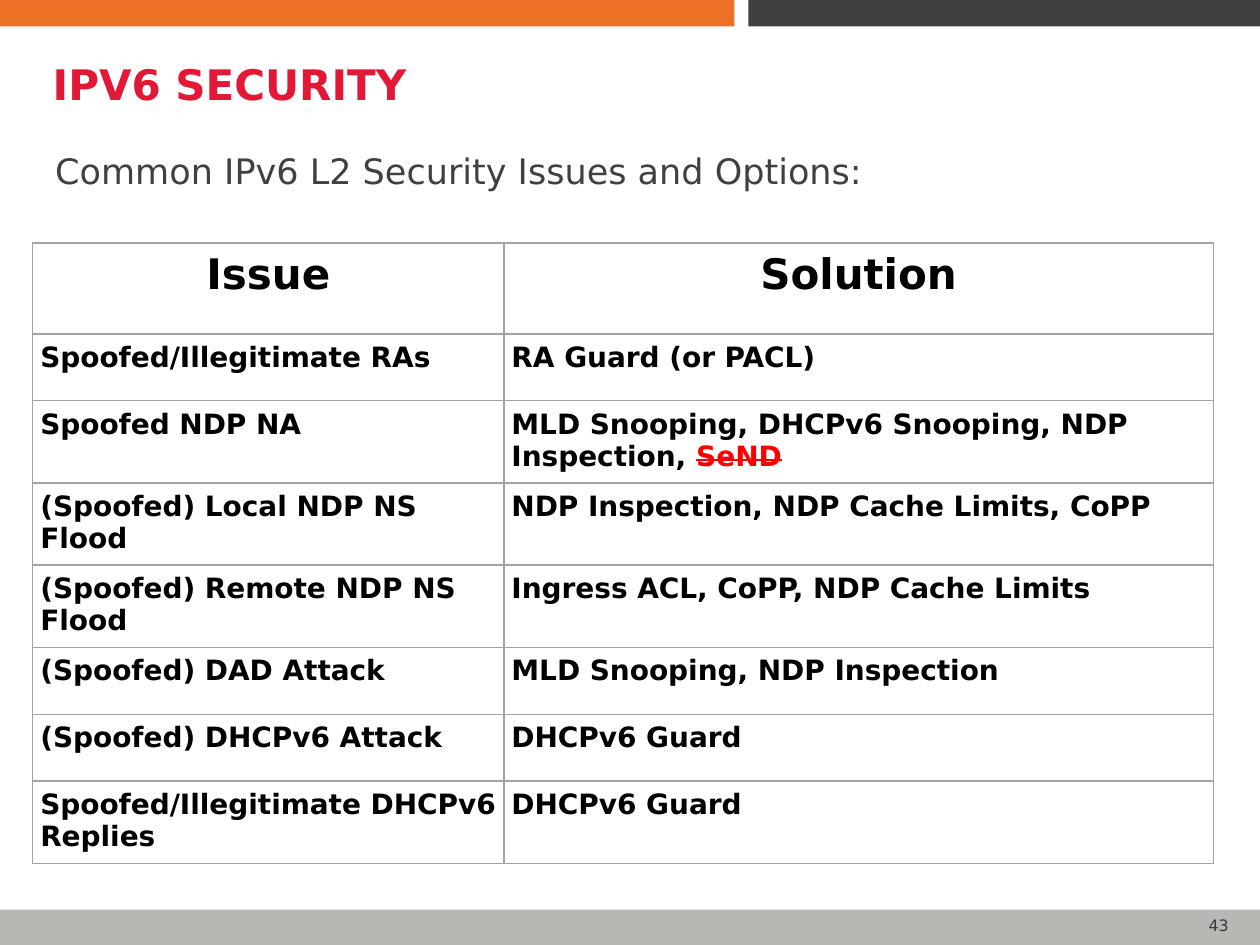
from dataclasses import dataclass

from lxml import etree
from pptx import Presentation
from pptx import util as u
from pptx.dml.color import RGBColor
from pptx.enum import shapes, text
from pptx.oxml import ns


@dataclass(frozen=True)
class Theme:
    face: str = "DejaVu Sans"
    orange: str = "EA7125"
    dark: str = "404040"
    gray: str = "B7B7B3"
    grid: str = "A3A3A3"
    brand: str = "E31837"
    ink: str = "000000"
    alert: str = "FF0000"
    page: str = "363B3E"
    head: int = 24
    lead: int = 20
    cell: int = 16
    note: int = 9


class Deck:
    def __init__(self, theme):
        self.theme = theme
        self.prs = Presentation()
        self.prs.slide_width = u.Inches(10)
        self.prs.slide_height = u.Inches(7.5)
        self.slide = self.prs.slides.add_slide(self.prs.slide_layouts[6])

    def run(self, para, words, size, color, bold=False, strike=False):
        run = para.add_run()
        run.text = words
        font = run.font
        font.name, font.size, font.bold = self.theme.face, u.Pt(size), bold
        font.color.rgb = RGBColor.from_string(color)
        if strike:
            run._r.get_or_add_rPr().set("strike", "sngStrike")

    def bar(self, box, color):
        bar = self.slide.shapes.add_shape(
            shapes.MSO_SHAPE.RECTANGLE, *map(u.Inches, box))
        bar.shadow.inherit = False
        bar.fill.solid()
        bar.fill.fore_color.rgb = RGBColor.from_string(color)
        bar.line.fill.background()

    def label(self, box, words, size, color, bold=False,
              align=text.PP_ALIGN.LEFT, anchor=text.MSO_ANCHOR.TOP):
        frame = self.slide.shapes.add_textbox(*map(u.Inches, box)).text_frame
        frame.word_wrap = True
        frame.vertical_anchor = anchor
        para = frame.paragraphs[0]
        para.alignment = align
        self.run(para, words, size, color, bold)

    def edge(self, cell):
        props = cell._tc.get_or_add_tcPr()
        for side in ("lnL", "lnR", "lnT", "lnB"):
            line = etree.SubElement(props, ns.qn("a:" + side), w=str(u.Pt(1)))
            fill = etree.SubElement(line, ns.qn("a:solidFill"))
            etree.SubElement(fill, ns.qn("a:srgbClr"), val=self.theme.grid)

    def table(self, box, cols, tall, rows):
        grid = self.slide.shapes.add_table(
            len(rows), len(cols), *map(u.Inches, box)).table
        grid.horz_banding = False
        for col, width in zip(grid.columns, cols):
            col.width = u.Inches(width)
        for r, row in enumerate(rows):
            first = r == 0
            grid.rows[r].height = u.Inches(tall[0] if first else tall[1])
            for c, parts in enumerate(row):
                cell = grid.cell(r, c)
                self.edge(cell)
                cell.fill.background()
                cell.margin_left = cell.margin_right = u.Inches(0.06)
                cell.margin_top = cell.margin_bottom = u.Inches(0.06)
                para = cell.text_frame.paragraphs[0]
                para.alignment = (text.PP_ALIGN.CENTER if first
                                  else text.PP_ALIGN.LEFT)
                size = self.theme.head if first else self.theme.cell
                # A second part is a struck-out option
                for i, words in enumerate(parts):
                    color = self.theme.alert if i else self.theme.ink
                    self.run(para, words, size, color, True, strike=i > 0)


ROWS = [
    (["Issue"], ["Solution"]),
    (["Spoofed/Illegitimate RAs"], ["RA Guard (or PACL)"]),
    (["Spoofed NDP NA"],
     ["MLD Snooping, DHCPv6 Snooping, NDP Inspection, ", "SeND"]),
    (["(Spoofed) Local NDP NS Flood"],
     ["NDP Inspection, NDP Cache Limits, CoPP"]),
    (["(Spoofed) Remote NDP NS Flood"],
     ["Ingress ACL, CoPP, NDP Cache Limits"]),
    (["(Spoofed) DAD Attack"], ["MLD Snooping, NDP Inspection"]),
    (["(Spoofed) DHCPv6 Attack"], ["DHCPv6 Guard"]),
    (["Spoofed/Illegitimate DHCPv6 Replies"], ["DHCPv6 Guard"]),
]


def main():
    theme = Theme()
    deck = Deck(theme)

    # Footer and page number
    deck.bar((0, 7.22, 10, 0.28), theme.gray)
    deck.label((9.14, 7.22, 0.71, 0.25), "43", theme.note, theme.page,
               align=text.PP_ALIGN.RIGHT)

    # Top bars
    deck.bar((0, 0, 5.83, 0.21), theme.orange)
    deck.bar((5.94, 0, 4.06, 0.21), theme.dark)

    # Title and lead line
    deck.label((0.32, 0.37, 9.17, 0.58), "IPV6 SECURITY", theme.head,
               theme.brand, True, anchor=text.MSO_ANCHOR.MIDDLE)
    deck.label((0.34, 1.14, 9.16, 0.5),
               "Common IPv6 L2 Security Issues and Options:",
               theme.lead, theme.dark)

    # Issues and solutions
    deck.table((0.26, 1.93, 9.37, 4.43), (3.74, 5.63), (0.72, 0.53), ROWS)

    deck.prs.save("out.pptx")


if __name__ == "__main__":
    main()
